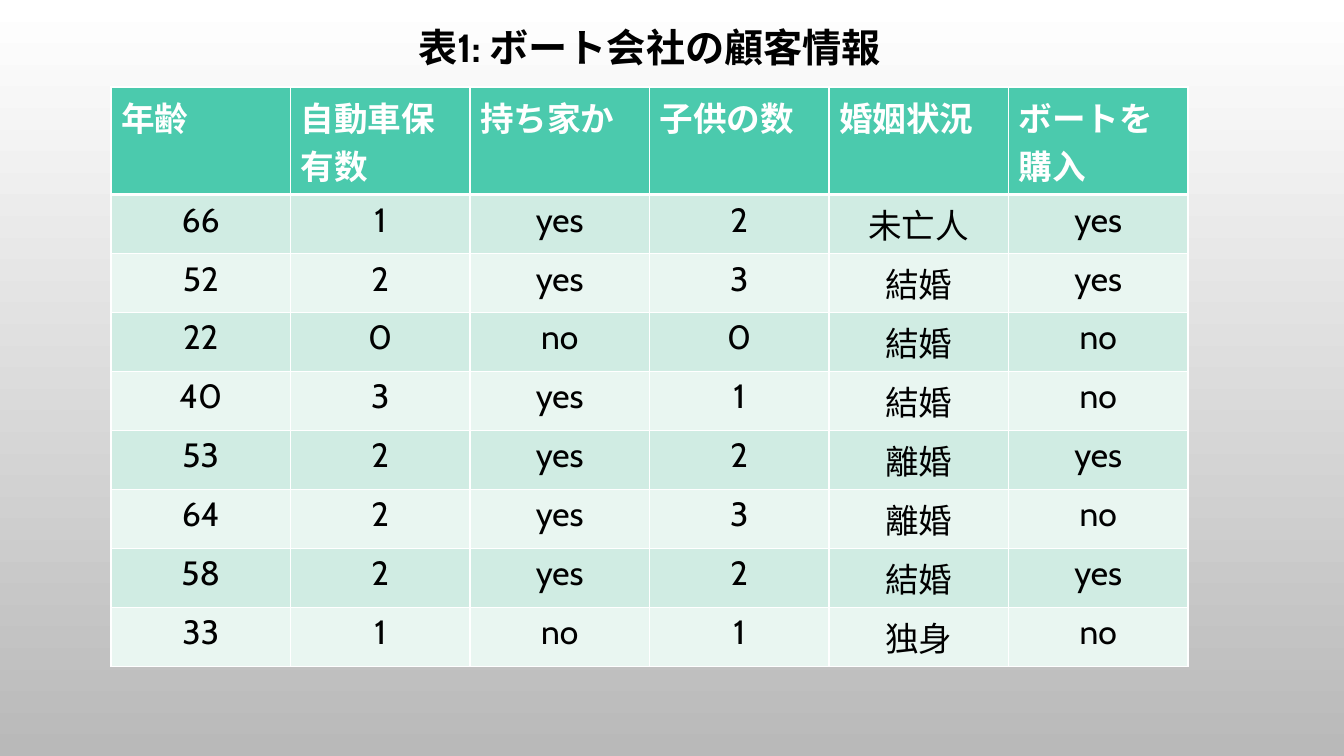
from lxml import etree
from pptx import Presentation
from pptx.dml.color import RGBColor
from pptx.enum.text import MSO_ANCHOR, MSO_AUTO_SIZE, PP_ALIGN
from pptx.oxml.ns import qn
from pptx.util import Emu, Pt

CENTER, LEFT = PP_ALIGN.CENTER, PP_ALIGN.LEFT
MIDDLE = MSO_ANCHOR.MIDDLE
NO_AUTOFIT = MSO_AUTO_SIZE.NONE

EMU_PER_PX = 914400 / 100.8
FONT = "Cabin"
WHITE = RGBColor(0xFF, 0xFF, 0xFF)
BLACK = RGBColor(0x00, 0x00, 0x00)
GREY = RGBColor(0xB9, 0xB9, 0xB9)
HEADER_GREEN = RGBColor(0x4B, 0xCA, 0xAD)
BAND_GREENS = (RGBColor(0xD0, 0xEC, 0xE3), RGBColor(0xE9, 0xF6, 0xF1))

CONTENT_LEFT, CONTENT_WIDTH = 111, 1077
TITLE_TOP, TITLE_HEIGHT = 18, 57
TABLE_TOP, HEADER_HEIGHT, ROW_HEIGHT = 87, 106, 59

TITLE = "表1: ボート会社の顧客情報"
HEADERS = ("年齢", "自動車保有数", "持ち家か", "子供の数", "婚姻状況", "ボートを購入")
CUSTOMERS = (
    ("66", "1", "yes", "2", "未亡人", "yes"),
    ("52", "2", "yes", "3", "結婚", "yes"),
    ("22", "0", "no", "0", "結婚", "no"),
    ("40", "3", "yes", "1", "結婚", "no"),
    ("53", "2", "yes", "2", "離婚", "yes"),
    ("64", "2", "yes", "3", "離婚", "no"),
    ("58", "2", "yes", "2", "結婚", "yes"),
    ("33", "1", "no", "1", "独身", "no"),
)


def px(length):
    return Emu(round(length * EMU_PER_PX))


def set_background(slide):
    fill = slide.background.fill
    fill.gradient()
    fill.gradient_angle = 270
    for stop, color in zip(fill.gradient_stops, (WHITE, GREY)):
        stop.color.rgb = color


def write_text(text_frame, text, size, color, bold, alignment):
    text_frame.text = text
    paragraph = text_frame.paragraphs[0]
    paragraph.alignment = alignment
    font = paragraph.runs[0].font
    font.name, font.size, font.bold = FONT, Pt(size), bold
    font.color.rgb = color


def set_borders(cell, top, bottom):
    """Draw white cell borders: 1 pt at the sides, given points above and below."""
    properties = cell._tc.get_or_add_tcPr()
    for side, width in (("L", 1), ("R", 1), ("T", top), ("B", bottom)):
        line = etree.SubElement(properties, qn(f"a:ln{side}"), w=str(Pt(width)))
        solid = etree.SubElement(line, qn("a:solidFill"))
        etree.SubElement(solid, qn("a:srgbClr"), val=str(WHITE))


def add_title(slide):
    title = slide.shapes.title
    title.left, title.top = px(CONTENT_LEFT), px(TITLE_TOP)
    title.width, title.height = px(CONTENT_WIDTH), px(TITLE_HEIGHT)
    frame = title.text_frame
    frame.word_wrap = True
    frame.auto_size = NO_AUTOFIT
    frame.vertical_anchor = MIDDLE
    write_text(frame, TITLE, 28, BLACK, True, CENTER)


def add_customer_table(slide):
    records = (HEADERS,) + CUSTOMERS
    table_height = HEADER_HEIGHT + ROW_HEIGHT * len(CUSTOMERS)
    table = slide.shapes.add_table(
        len(records), len(HEADERS), px(CONTENT_LEFT), px(TABLE_TOP),
        px(CONTENT_WIDTH), px(table_height)).table
    table.horz_banding = False

    for column in table.columns:
        column.width = px(CONTENT_WIDTH / len(HEADERS))
    for row_index, record in enumerate(records):
        is_header = row_index == 0
        table.rows[row_index].height = px(HEADER_HEIGHT if is_header else ROW_HEIGHT)
        background = HEADER_GREEN if is_header else BAND_GREENS[(row_index - 1) % 2]
        for column_index, value in enumerate(record):
            cell = table.cell(row_index, column_index)
            set_borders(cell, 3 if row_index == 1 else 1, 3 if is_header else 1)
            cell.fill.solid()
            cell.fill.fore_color.rgb = background
            write_text(cell.text_frame, value, 24, WHITE if is_header else BLACK,
                       is_header, LEFT if is_header else CENTER)


def main():
    presentation = Presentation()
    presentation.slide_width, presentation.slide_height = px(1344), px(756)
    slide = presentation.slides.add_slide(presentation.slide_layouts[5])
    set_background(slide)
    add_title(slide)
    add_customer_table(slide)
    presentation.save("out.pptx")


if __name__ == "__main__":
    main()
